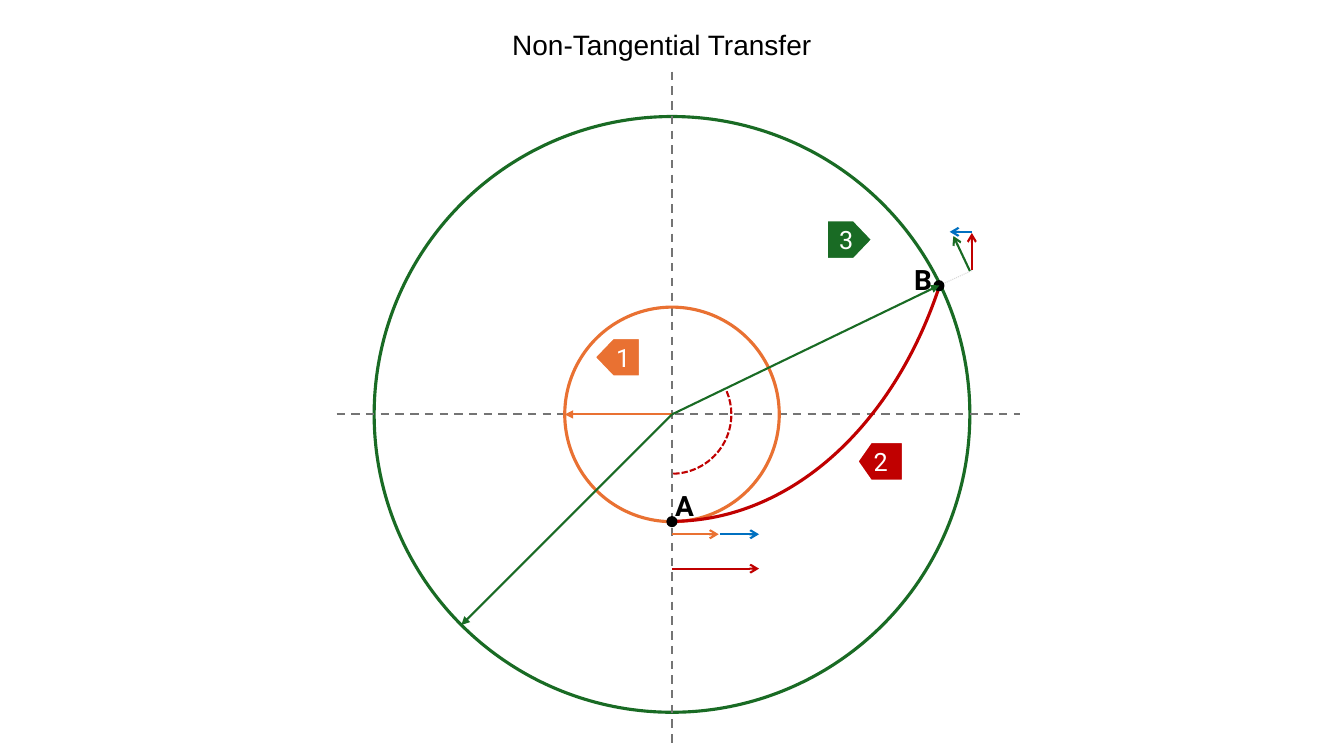
from dataclasses import dataclass

from lxml.etree import SubElement
from pptx import Presentation
from pptx.dml.color import RGBColor
from pptx.enum.dml import MSO_LINE as Dash
from pptx.enum.shapes import MSO_CONNECTOR as Link, MSO_SHAPE as Kind
from pptx.enum.text import MSO_ANCHOR as Anchor, MSO_AUTO_SIZE as Fit, PP_ALIGN as Align
from pptx.oxml.ns import qn
from pptx.util import Pt


@dataclass(frozen=True)
class Theme:
    """Hold the colours, fonts and type sizes."""
    black: str = "000000"
    white: str = "FFFFFF"
    grey: str = "747474"
    pale: str = "D9D9D9"
    green: str = "196B24"
    orange: str = "E97132"
    red: str = "C00000"
    blue: str = "0070C0"
    head: str = "Arial"
    body: str = "Roboto"
    large: int = 20
    small: int = 18


THEME = Theme()
HUB = (480, 296)
INNER, OUTER = 76.6, 212.76
A = (480, 372.6)
B = (670.7, 204.1)


def write(shape, text, *, font=THEME.body, size=THEME.large, color=THEME.black,
          bold=False, align=Align.LEFT, anchor=Anchor.TOP, wrap=True, fit=Fit.NONE):
    """Put formatted text into a shape."""
    frame = shape.text_frame
    frame.text = text
    frame.word_wrap = wrap
    frame.auto_size = fit
    frame.vertical_anchor = anchor
    para = frame.paragraphs[0]
    para.alignment = align
    face = para.runs[0].font
    face.name, face.size, face.bold = font, Pt(size), bold
    face.color.rgb = RGBColor.from_string(color)


def stroke(line, color, width, dash=None):
    """Set the colour, width and dash of a line."""
    line.color.rgb = RGBColor.from_string(color)
    line.width = Pt(width)
    if dash:
        line.dash_style = dash


def draw(slide, kind, box, color, width, fill=None, dash=None):
    """Add a preset shape in a box given in points."""
    shape = slide.shapes.add_shape(kind, *map(Pt, box))
    shape.shadow.inherit = False
    if fill:
        shape.fill.solid()
        shape.fill.fore_color.rgb = RGBColor.from_string(fill)
    else:
        shape.fill.background()
    stroke(shape.line, color, width, dash)
    return shape


def around(mid, wide, high):
    """Return the box of an ellipse from its centre and radii."""
    return mid[0] - wide, mid[1] - high, 2 * wide, 2 * high


def ring(slide, mid, radius, color, width, fill=None):
    """Add a circle around a centre."""
    draw(slide, Kind.OVAL, around(mid, radius, radius), color, width, fill)


def arc(slide, mid, wide, high, ends, color, width, dash=None):
    """Add an elliptical arc between two adjustment values."""
    shape = draw(slide, Kind.ARC, around(mid, wide, high), color, width, dash=dash)
    shape.adjustments[0], shape.adjustments[1] = ends


def line(slide, start, end, color, width=1.5, dash=None, tip=None):
    """Add a straight line with an optional arrowhead at its end."""
    link = slide.shapes.add_connector(Link.STRAIGHT, *map(Pt, start + end))
    stroke(link.line, color, width, dash)
    props = link._element.spPr
    if tip:
        SubElement(props.find(qn("a:ln")), qn("a:tailEnd"), type=tip)
    SubElement(props, qn("a:effectLst"))


def flag(slide, text, left, top, color, point, align, flip=False):
    """Add a numbered pentagon tag."""
    shape = draw(slide, Kind.PENTAGON, (left, top, 33, 28), THEME.white, 2, color)
    shape.adjustments[0] = point
    if flip:
        shape._element.spPr.xfrm.set("flipH", "1")
    write(shape, text, size=THEME.small, color=THEME.white, align=align,
          anchor=Anchor.MIDDLE)


def label(slide, text, left, top):
    """Add a bold name for a point."""
    box = slide.shapes.add_textbox(Pt(left), Pt(top), Pt(27.4), Pt(31.5))
    write(box, text, bold=True, wrap=False, fit=Fit.SHAPE_TO_FIT_TEXT)


def title(slide, text):
    """Place the slide title."""
    shape = slide.shapes.title
    shape.left, shape.top, shape.width, shape.height = map(Pt, (358.6, 16, 241.2, 31.5))
    write(shape, text, font=THEME.head, fit=Fit.SHAPE_TO_FIT_TEXT)


def main():
    """Build the orbit transfer slide."""
    deck = Presentation()
    deck.slide_width, deck.slide_height = Pt(960), Pt(540)
    slide = deck.slides.add_slide(deck.slide_layouts[5])
    title(slide, "Non-Tangential Transfer")

    line(slide, (668.2, 205.2), (694.8, 193), THEME.pale, 0.75, Dash.ROUND_DOT)
    ring(slide, HUB, OUTER, THEME.green, 2.25)
    line(slide, (480, 51.2), (480, 533.5), THEME.grey, dash=Dash.DASH)
    line(slide, (240.4, 296), (728.6, 296), THEME.grey, dash=Dash.DASH)
    ring(slide, HUB, INNER, THEME.orange, 2.25)
    arc(slide, (480, 89), 209.2, 283.4, (18.545, 54.085), THEME.red, 2.25)
    line(slide, HUB, (403.4, 296), THEME.orange, tip="triangle")
    line(slide, HUB, (329.6, 446.4), THEME.green, tip="triangle")

    flag(slide, "1", 424.4, 241.2, THEME.orange, 0.478, Align.RIGHT, flip=True)
    flag(slide, "2", 612.2, 315.6, THEME.red, 0.349, Align.LEFT, flip=True)
    flag(slide, "3", 590.4, 157.2, THEME.green, 0.478, Align.RIGHT)

    for spot in (A, B):
        ring(slide, spot, 3.2, THEME.black, 1.5, THEME.black)
    label(slide, "A", 475.2, 345.6)
    label(slide, "B", 645.8, 183.6)

    line(slide, HUB, (671, 203.8), THEME.green, tip="triangle")
    arc(slide, HUB, 42.4, 42.4, (202.266, 53.85), THEME.red, 1.5, Dash.SQUARE_DOT)

    speeds = (
        ((479.8, 381.6), (513.4, 381.6), THEME.orange),
        ((480, 406.2), (542.2, 406.2), THEME.red),
        ((514.2, 381.6), (542.2, 381.6), THEME.blue),
        ((694.2, 193), (694.2, 166.4), THEME.red),
        ((692.8, 193.6), (681, 168.6), THEME.green),
        ((694.2, 165.6), (678.4, 165.6), THEME.blue),
    )
    for start, end, color in speeds:
        line(slide, start, end, color, tip="arrow")

    deck.save("out.pptx")


if __name__ == "__main__":
    main()
